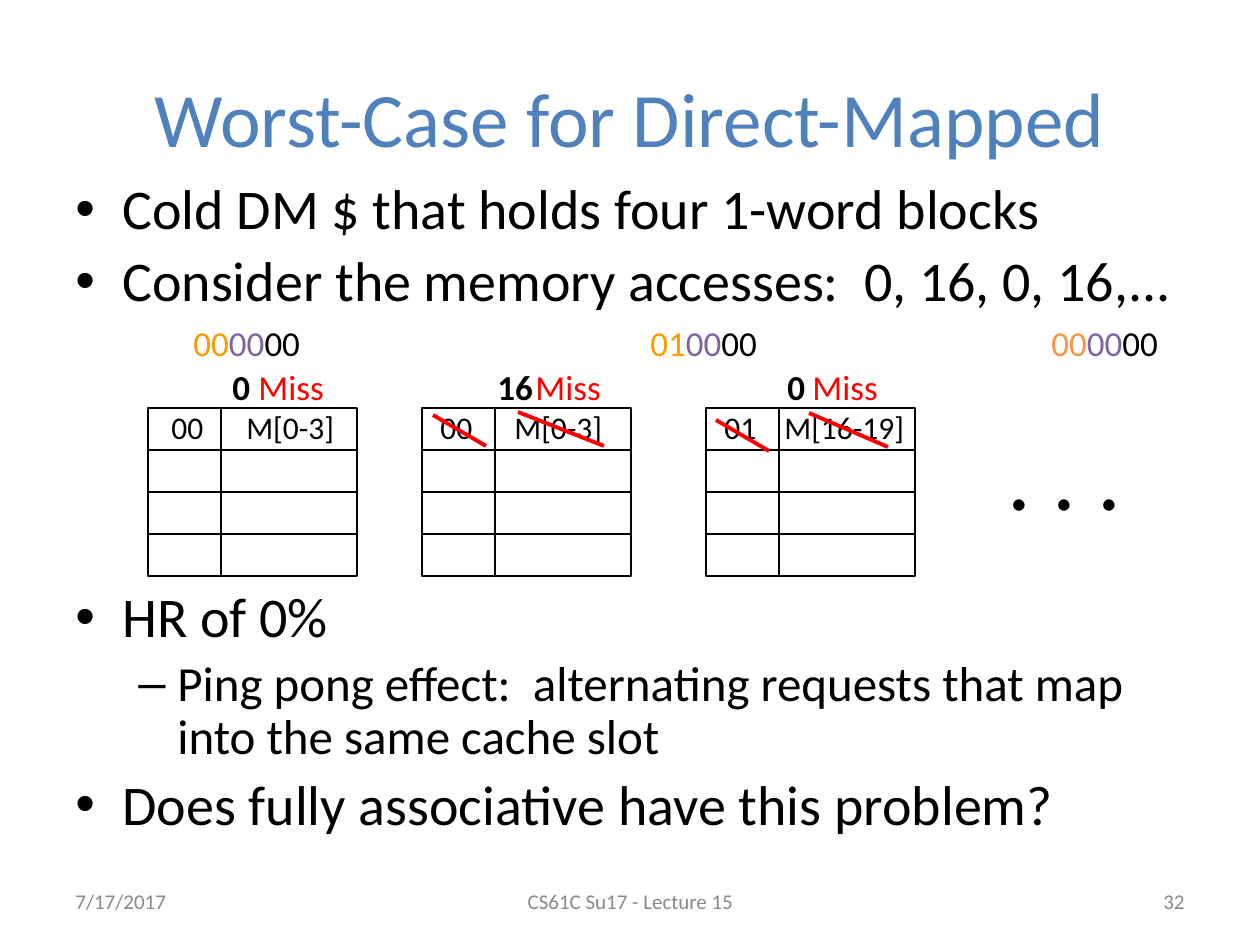
"""Build the slide on the worst case of a direct-mapped cache."""
from lxml.etree import SubElement
from pptx import Presentation
from pptx.dml.color import RGBColor
from pptx.enum.shapes import MSO_CONNECTOR as Connector, MSO_SHAPE as Shape
from pptx.enum.text import MSO_ANCHOR as Anchor, PP_ALIGN as Align
from pptx.oxml.ns import qn
from pptx.util import Pt

PX = 914400 / 126
BLACK, RED, GREY, BLUE = "000000", "FF0000", "888888", "4F81BD"
ORANGE, PEACH, PURPLE = "FF9900", "F79646", "8064A2"


def add_text(box, paragraphs, size, align=Align.LEFT, anchor=Anchor.TOP, bold=False):
    frame = slide.shapes.add_textbox(*(round(v * PX) for v in box)).text_frame
    frame.word_wrap = True
    frame.vertical_anchor = anchor
    for number, runs in enumerate(paragraphs):
        paragraph = frame.add_paragraph() if number else frame.paragraphs[0]
        paragraph.alignment = align
        for words, color in runs:
            run = paragraph.add_run()
            run.text = words
            run.font.name = "Calibri"
            run.font.size = Pt(size)
            run.font.bold = bold
            run.font.color.rgb = RGBColor.from_string(color)
    return frame.paragraphs


def add_line(x1, y1, x2, y2, color, width):
    line = slide.shapes.add_connector(
        Connector.STRAIGHT, *(round(v * PX) for v in (x1, y1, x2, y2)))
    line.line.color.rgb = RGBColor.from_string(color)
    line.line.width = Pt(width)
    SubElement(line._element.spPr, qn("a:effectLst"))
    return line


deck = Presentation()
deck.slide_width, deck.slide_height = round(1260 * PX), round(945 * PX)
slide = deck.slides.add_slide(deck.slide_layouts[6])

add_text((63, 38, 1134, 158), [[("Worst-Case for Direct-Mapped", BLUE)]], 44,
         Align.CENTER, Anchor.MIDDLE)

setup = ["Cold DM $ that holds four 1-word blocks",
         "Consider the memory accesses:  0, 16, 0, 16,..."]
findings = ["HR of 0%",
            "Ping pong effect:  alternating requests that map into the same cache slot",
            "Does fully associative have this problem?"]
for top, height, points in [(175, 145, setup), (583, 275, findings)]:
    bullets = add_text((63, top, 1134, height), [[(point, BLACK)] for point in points], 32)
    for number, bullet in enumerate(bullets):
        is_sub = bullet.text.startswith("Ping")
        margin, hang, mark = (102, 39, "–") if is_sub else (47, 47, "•")
        bullet.line_spacing = 0.9
        bullet.space_before = Pt(0 if number == 0 else 5.6 if is_sub else 6.4)
        if is_sub:
            bullet.level = 1
            bullet.runs[0].font.size = Pt(28)
        properties = bullet._p.get_or_add_pPr()
        properties.set("marL", str(round(margin * PX)))
        properties.set("indent", str(round(-hang * PX)))
        SubElement(properties, qn("a:buFont"), typeface="Arial")
        SubElement(properties, qn("a:buChar"), char=mark)

for left, tag, tag_color in [(181, "00", ORANGE), (638, "01", ORANGE), (1039, "00", PEACH)]:
    address = [(tag, tag_color), ("00", PURPLE), ("00", BLACK)]
    add_text((left, 320, 150, 50), [address], 20)[0].line_spacing = 0.9

CACHE_TOP, ROW, TAG_WIDTH, DATA_WIDTH = 408, 42, 73, 136
caches = [
    (148, "0", 220, 43, 246, "00\tM[0-3]", 159, 190, 75),
    (422, "16", 485, 62, 523, "00\tM[0-3]", 428, 190, 74),
    (706, "0", 775, 43, 800, "01\tM[16-19]", 712, 208, 60),
]
for (left, access, access_left, access_width, miss_left,
     entry, entry_left, entry_width, tab) in caches:
    add_text((access_left, 359, access_width, 55), [[(access, BLACK)]], 20, bold=True)
    add_text((miss_left, 359, 92, 55), [[("Miss", RED)]], 20)
    for x, width in [(left, TAG_WIDTH), (left + TAG_WIDTH, DATA_WIDTH)]:
        column = slide.shapes.add_shape(
            Shape.RECTANGLE, *(round(v * PX) for v in (x, CACHE_TOP, width, 4 * ROW)))
        column.shadow.inherit = False
        column.fill.background()
        column.line.color.rgb = RGBColor.from_string(BLACK)
        column.line.width = Pt(1)
        for row in (1, 2, 3):
            y = CACHE_TOP + row * ROW
            divider = add_line(x, y, x + width, y, BLACK, 1)
            if row == 2:
                divider.begin_connect(column, 1)
                divider.end_connect(column, 3)
    content = add_text((entry_left, 402, entry_width, 50), [[(entry, BLACK)]], 18)[0]
    stops = SubElement(content._p.get_or_add_pPr(), qn("a:tabLst"))
    SubElement(stops, qn("a:tab"), pos=str(round(tab * PX)), algn="l")

for strike in [(433, 415, 486, 446), (518, 412, 604, 446),
               (716, 420, 769, 451), (809, 413, 888, 447)]:
    add_line(*strike, RED, 2.25)

add_text((989, 410, 151, 127), [[(". . .", BLACK)]], 54, Align.CENTER)

for left, width, words, align in [(63, 294, "7/17/2017", Align.LEFT),
                                  (431, 399, "CS61C Su17 - Lecture 15", Align.CENTER),
                                  (903, 294, "32", Align.RIGHT)]:
    add_text((left, 876, width, 50), [[(words, GREY)]], 12, align, Anchor.MIDDLE)

deck.save("out.pptx")
